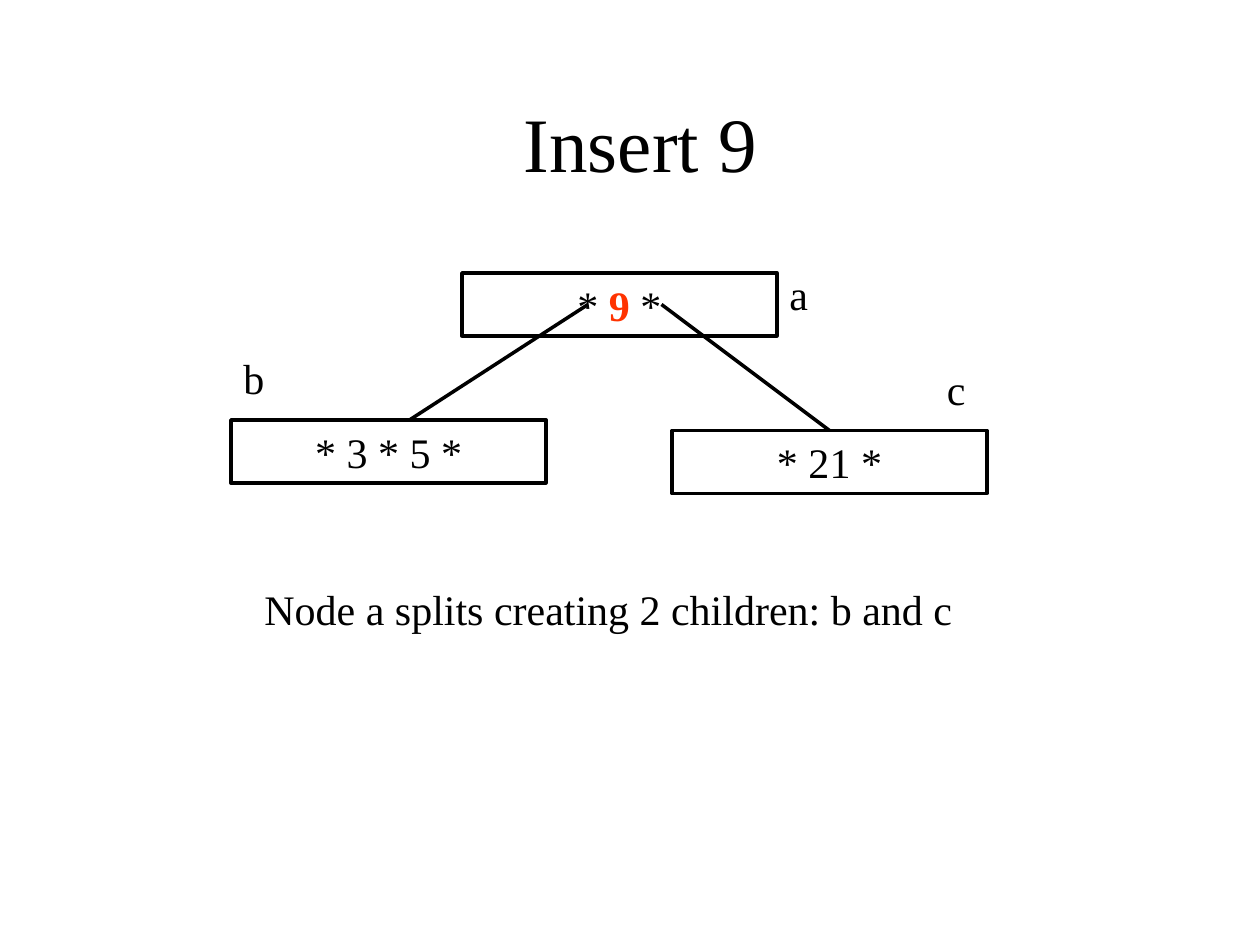
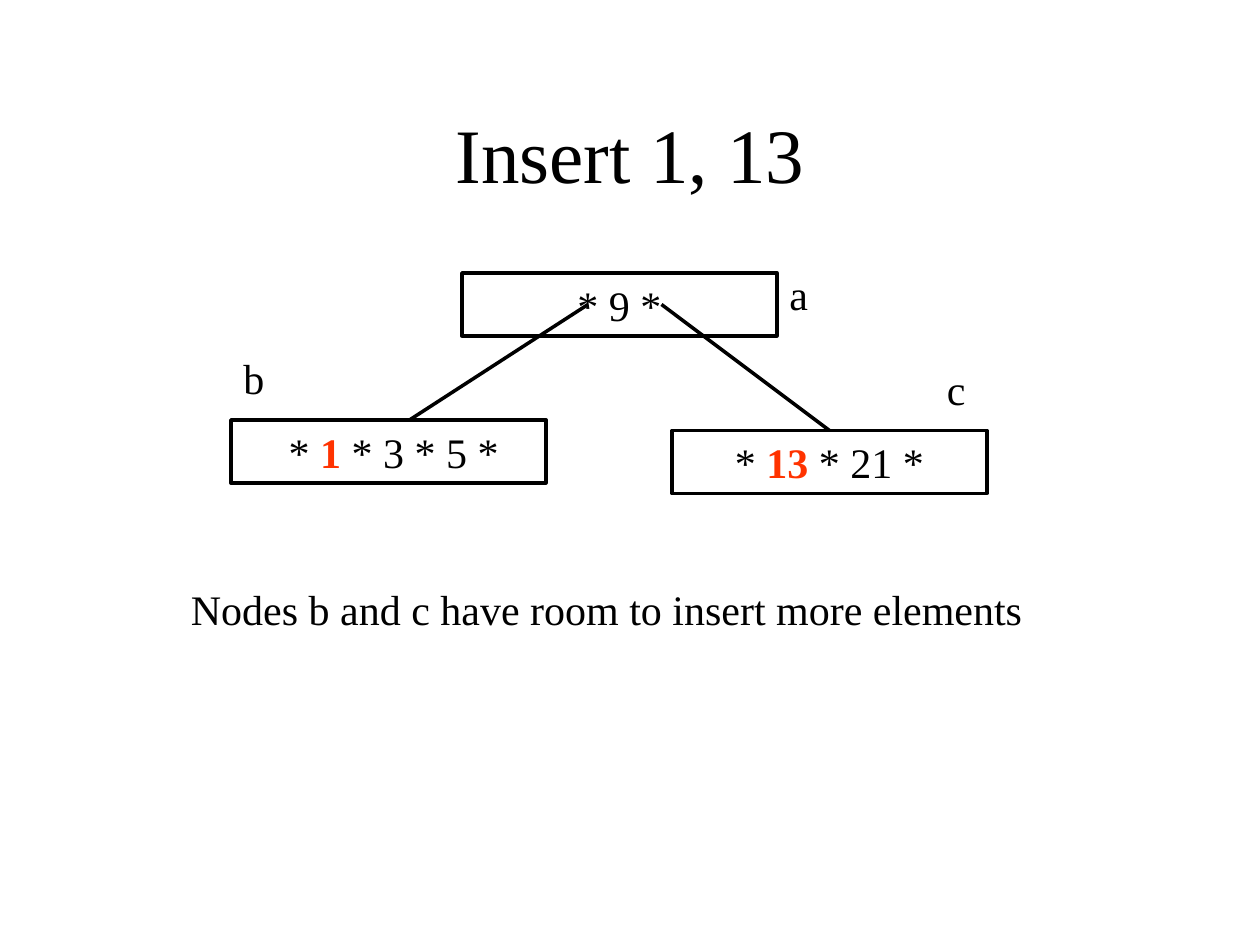
from lxml import etree
from pptx import Presentation
from pptx.dml.color import RGBColor
from pptx.enum import shapes, text
from pptx.oxml import ns
from pptx.util import Pt

BLACK = RGBColor(0x00, 0x00, 0x00)
RED = RGBColor(0xFF, 0x33, 0x00)
FONT = "Times New Roman"
TITLE_SIZE, TEXT_SIZE = 44, 24
LINE_WIDTH = 2
NODE_WIDTH, ROW_HEIGHT = 180, 36
TREE_LEFT, TREE_TOP = 132, 150
CAPTION_TOP = 330

NODE_OFFSETS = {"a": (132, 6), "b": (0, 90), "c": (252, 96)}
LABEL_OFFSETS = {"a": (312, 0), "b": (0, 48), "c": (402, 54)}
BRANCHES = [((204, 24), (102, 90)), ((246, 24), (342, 96))]

SLIDES = [
    {
        "title": "Insert 9",
        "title_box": (60, 48, 612, 66),
        "nodes": {
            "a": [("* ", False), ("9", True), (" *", False)],
            "b": [("* 3 * 5 *", False)],
            "c": [("* 21 *", False)],
        },
        "caption": "Node a splits creating 2 children: b and c",
        "caption_span": (144, 432),
    },
    {
        "title": "Insert 1, 13",
        "title_box": (54, 48, 612, 78),
        "nodes": {
            "a": [("* 9 *", False)],
            "b": [(" *", False), (" 1", True), (" * 3 * 5 *", False)],
            "c": [("* ", False), ("13", True), (" * 21 *", False)],
        },
        "caption": "Nodes b and c have room to insert more elements",
        "caption_span": (102, 498),
    },
]


def style_paragraph(paragraph, size, alignment):
    """Apply the shared font and an alignment to a paragraph."""
    paragraph.font.name = FONT
    paragraph.font.size = Pt(size)
    paragraph.font.color.rgb = BLACK
    paragraph.alignment = alignment


def fill_text(shape, runs, alignment):
    """Write (wording, is_new) runs into a shape, with new keys in bold red."""
    frame = shape.text_frame
    frame.word_wrap = True
    frame.auto_size = text.MSO_AUTO_SIZE.SHAPE_TO_FIT_TEXT
    frame.vertical_anchor = text.MSO_ANCHOR.TOP
    paragraph = frame.paragraphs[0]
    style_paragraph(paragraph, TEXT_SIZE, alignment)
    paragraph.space_before = Pt(15)
    for wording, is_new in runs:
        run = paragraph.add_run()
        run.text = wording
        if is_new:
            run.font.bold = True
            run.font.color.rgb = RED


def add_title(slide, wording, box):
    """Place the title placeholder in the given box."""
    title = slide.shapes.title
    title.left, title.top, title.width, title.height = map(Pt, box)
    title.text_frame.text = wording
    title.text_frame.vertical_anchor = text.MSO_ANCHOR.MIDDLE
    style_paragraph(title.text_frame.paragraphs[0], TITLE_SIZE, text.PP_ALIGN.CENTER)


def add_node(slide, runs, left, top):
    """Draw one outlined tree node with its keys."""
    node = slide.shapes.add_shape(
        shapes.MSO_SHAPE.RECTANGLE, Pt(left), Pt(top), Pt(NODE_WIDTH), Pt(ROW_HEIGHT))
    node.shadow.inherit = False
    node.fill.background()
    node.line.color.rgb = BLACK
    node.line.width = Pt(LINE_WIDTH)
    fill_text(node, runs, text.PP_ALIGN.CENTER)


def add_branch(slide, start, end):
    """Draw a straight line between two points."""
    branch = slide.shapes.add_connector(
        shapes.MSO_CONNECTOR.STRAIGHT, *map(Pt, (*start, *end)))
    branch.line.color.rgb = BLACK
    branch.line.width = Pt(LINE_WIDTH)
    etree.SubElement(branch._element.spPr, ns.qn("a:effectLst"))


def add_note(slide, wording, left, top, width):
    """Add a one-line text box."""
    note = slide.shapes.add_textbox(Pt(left), Pt(top), Pt(width), Pt(ROW_HEIGHT))
    fill_text(note, [(wording, False)], text.PP_ALIGN.LEFT)


def add_tree(slide, nodes, left, top):
    """Draw nodes, branches and labels relative to the tree's corner."""
    def place(offset):
        return left + offset[0], top + offset[1]

    for name, runs in nodes.items():
        add_node(slide, runs, *place(NODE_OFFSETS[name]))
    for start, end in BRANCHES:
        add_branch(slide, place(start), place(end))
    for name, offset in LABEL_OFFSETS.items():
        add_note(slide, name, *place(offset), ROW_HEIGHT)


def add_insert_slide(presentation, content):
    """Build one slide showing the tree after an insertion."""
    slide = presentation.slides.add_slide(presentation.slide_layouts.get_by_name("Title Only"))
    add_title(slide, content["title"], content["title_box"])
    add_tree(slide, content["nodes"], TREE_LEFT, TREE_TOP)
    left, width = content["caption_span"]
    add_note(slide, content["caption"], left, CAPTION_TOP, width)


def main():
    """Build and save the presentation."""
    presentation = Presentation()
    presentation.slide_width, presentation.slide_height = Pt(720), Pt(540)
    for content in SLIDES:
        add_insert_slide(presentation, content)
    presentation.save("out.pptx")


if __name__ == "__main__":
    main()
